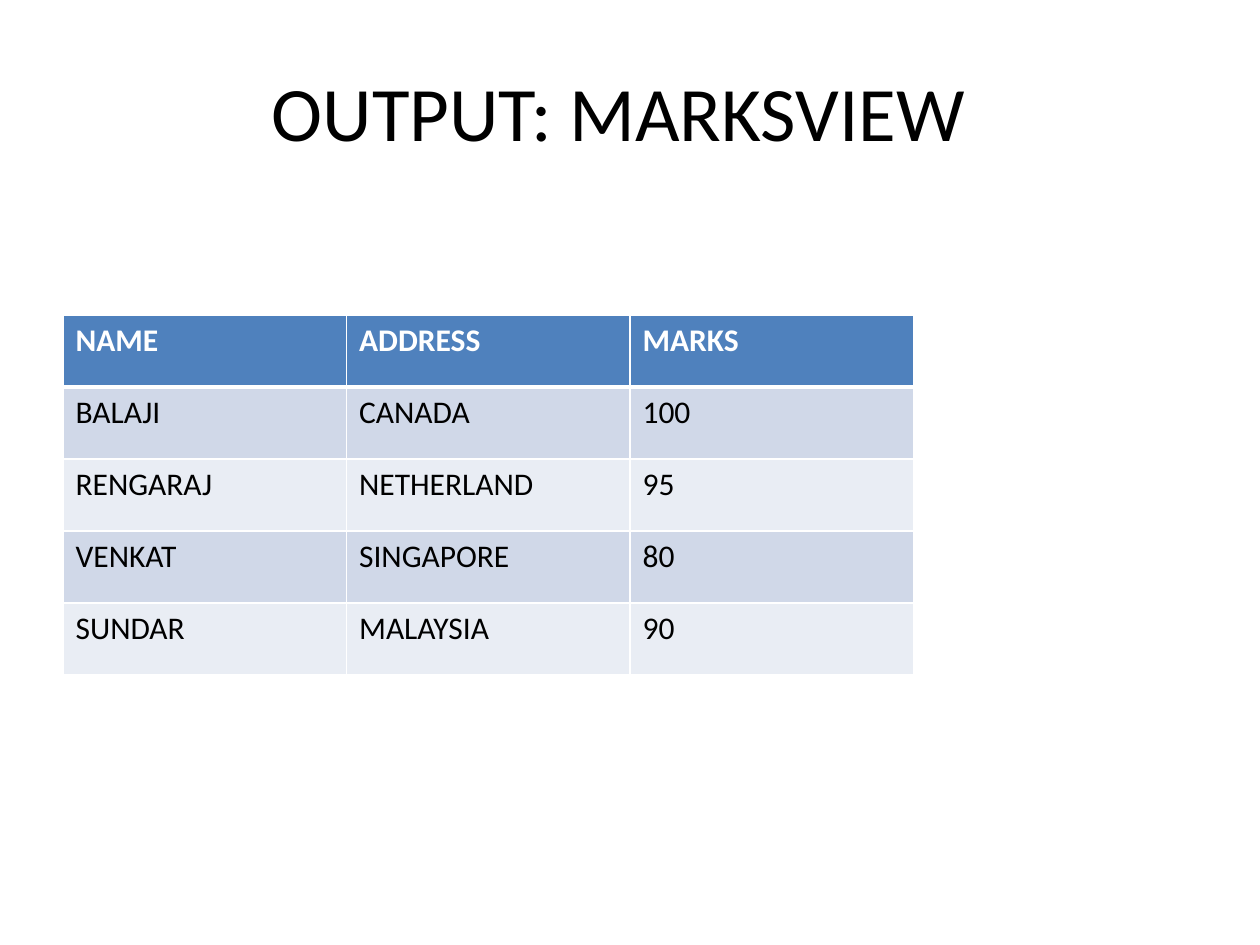
import lxml.etree
import pptx
import pptx.dml.color
import pptx.enum.text
import pptx.oxml.ns
import pptx.util

EMU_PER_PX = 9144
FONT = "Calibri"
WHITE = "FFFFFF"
BLACK = "000000"
HEADER_FILL = "4F81BD"
BAND_FILLS = ("D0D8E8", "E9EDF4")
MARKS_ROWS = (
    ("NAME", "ADDRESS", "MARKS"),
    ("BALAJI", "CANADA", "100"),
    ("RENGARAJ", "NETHERLAND", "95"),
    ("VENKAT", "SINGAPORE", "80"),
    ("SUNDAR", "MALAYSIA", "90"),
)


def px(length):
    return pptx.util.Emu(length * EMU_PER_PX)


def color(hex_string):
    return pptx.dml.color.RGBColor.from_string(hex_string)


def add_span(para, text, size, hex_string, bold=False):
    span = para.add_run()
    span.text = text
    span.font.name = FONT
    span.font.size = pptx.util.Pt(size)
    span.font.bold = bold
    span.font.color.rgb = color(hex_string)


def add_borders(cell, top, bottom):
    properties = cell._tc.get_or_add_tcPr()
    for side, width in (("L", 1), ("R", 1), ("T", top), ("B", bottom)):
        line = lxml.etree.SubElement(
            properties, pptx.oxml.ns.qn(f"a:ln{side}"), w=str(pptx.util.Pt(width))
        )
        fill = lxml.etree.SubElement(line, pptx.oxml.ns.qn("a:solidFill"))
        lxml.etree.SubElement(fill, pptx.oxml.ns.qn("a:srgbClr"), val=WHITE)


def place_title(page, left, top, width, height):
    title = page.shapes.title
    title.left, title.top = px(left), px(top)
    title.width, title.height = px(width), px(height)
    frame = title.text_frame
    frame.word_wrap = True
    frame.vertical_anchor = pptx.enum.text.MSO_ANCHOR.MIDDLE
    para = frame.paragraphs[0]
    para.alignment = pptx.enum.text.PP_ALIGN.CENTER
    add_span(para, "OUTPUT: MARKSVIEW ", 44, BLACK)


def place_marks_table(page, left, top, width, height):
    table = page.shapes.add_table(
        len(MARKS_ROWS), len(MARKS_ROWS[0]), px(left), px(top), px(width), px(height)
    ).table
    for row_index, texts in enumerate(MARKS_ROWS):
        is_header = row_index == 0
        fill = HEADER_FILL if is_header else BAND_FILLS[(row_index - 1) % 2]
        for column_index, text in enumerate(texts):
            cell = table.cell(row_index, column_index)
            add_borders(
                cell, top=3 if row_index == 1 else 1, bottom=3 if is_header else 1
            )
            cell.fill.solid()
            cell.fill.fore_color.rgb = color(fill)
            para = cell.text_frame.paragraphs[0]
            add_span(para, text, 18, WHITE if is_header else BLACK, is_header)


def main():
    deck = pptx.Presentation()
    deck.slide_width, deck.slide_height = px(1000), px(750)
    page = deck.slides.add_slide(deck.slide_layouts.get_by_name("Title Only"))
    place_title(page, 48, 25, 900, 125)
    place_marks_table(page, 50, 250, 675, 286)
    deck.save("out.pptx")


if __name__ == "__main__":
    main()
